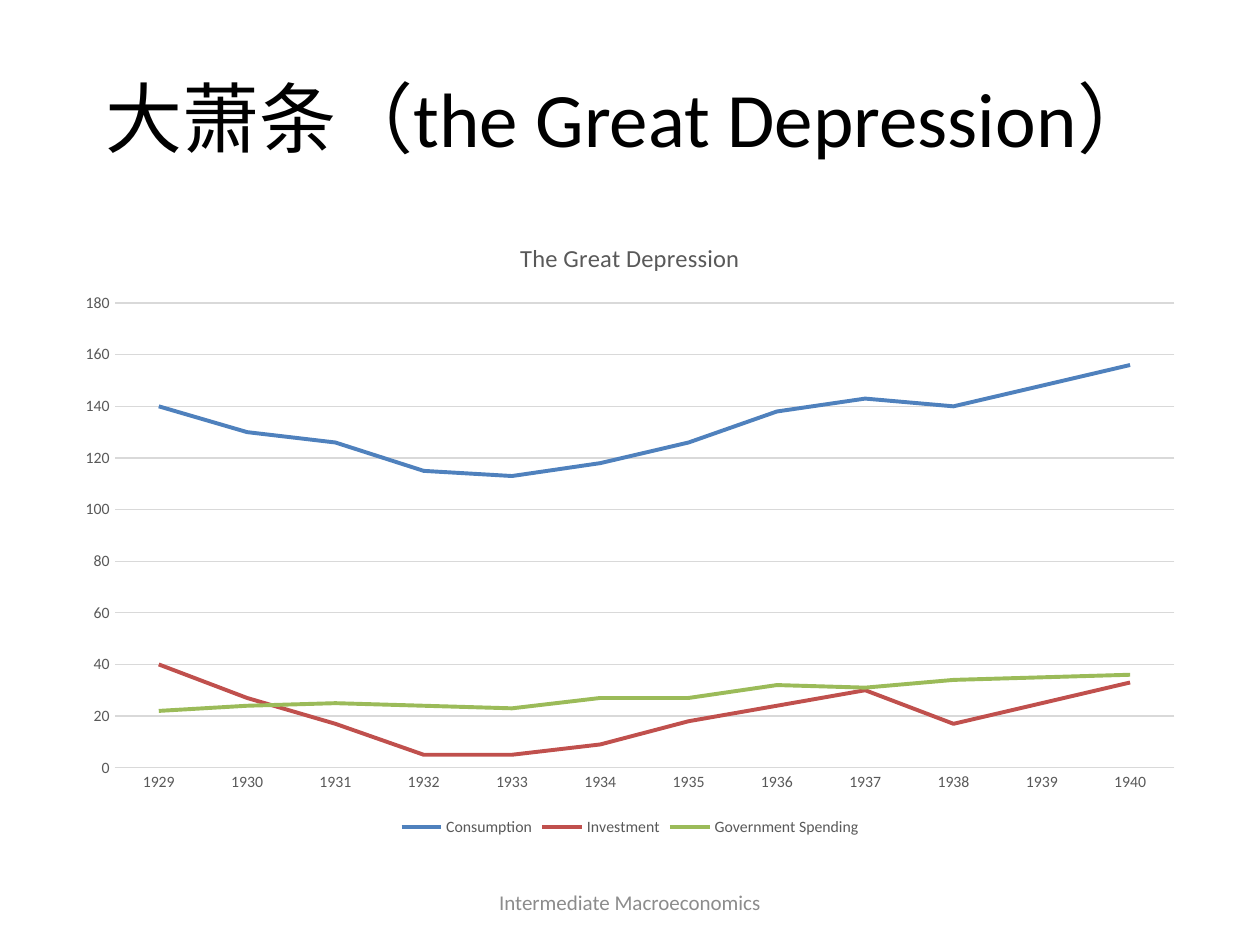
from dataclasses import dataclass

from pptx import Presentation, util as u
from pptx.chart.data import CategoryChartData
from pptx.dml.color import RGBColor
from pptx.enum import chart as ch, text as tx


@dataclass(frozen=True)
class Theme:
    """Colours, typeface and type sizes of the slide."""
    face: str = "Calibri"
    ink: str = "000000"
    label: str = "595959"
    footer: str = "8C8C8C"
    grid: str = "D9D9D9"
    lines: tuple = ("4F81BD", "C0504D", "9BBB59")
    title_size: int = 44
    chart_title_size: int = 14
    footer_size: int = 12
    label_size: int = 9


THEME = Theme()
WIDTH, HEIGHT = u.Inches(10), u.Inches(7.5)
YEARS = [str(year) for year in range(1929, 1941)]
SPENDING = {
    "Consumption": (140, 130, 126, 115, 113, 118, 126, 138, 143, 140, 148, 156),
    "Investment": (40, 27, 17, 5, 5, 9, 18, 24, 30, 17, 25, 33),
    "Government Spending": (22, 24, 25, 24, 23, 27, 27, 32, 31, 34, 35, 36),
}


def share(left, top, width, height):
    """Turn shares of the slide's size into a box of lengths."""
    return (int(left * WIDTH), int(top * HEIGHT),
            int(width * WIDTH), int(height * HEIGHT))


def style_font(font, size, color):
    """Set typeface, size and colour of a font."""
    font.name, font.size, font.bold = THEME.face, u.Pt(size), False
    font.color.rgb = RGBColor.from_string(color)


def style_line(line, color, width):
    """Set colour and width of a line."""
    line.color.rgb = RGBColor.from_string(color)
    line.width = u.Pt(width)


def write(frame, words, *, size, color, align=tx.PP_ALIGN.CENTER):
    """Put one formatted paragraph in a text frame."""
    frame.word_wrap = True
    frame.vertical_anchor = tx.MSO_ANCHOR.MIDDLE
    paragraph = frame.paragraphs[0]
    paragraph.alignment = align
    run = paragraph.add_run()
    run.text = words
    style_font(run.font, size, color)


def add_heading(slide, box):
    """Place the slide title."""
    heading = slide.shapes.title
    heading.left, heading.top, heading.width, heading.height = box
    write(heading.text_frame, "大萧条（the Great Depression）",
          size=THEME.title_size, color=THEME.ink)


def add_spending_chart(slide, box):
    """Place the line chart of spending by year."""
    spending = CategoryChartData()
    spending.categories = YEARS
    for name, amounts in SPENDING.items():
        spending.add_series(name, amounts)
    chart = slide.shapes.add_chart(ch.XL_CHART_TYPE.LINE, *box, spending).chart
    style_font(chart.font, THEME.label_size, THEME.label)

    chart.has_title = True
    write(chart.chart_title.text_frame, "The Great Depression",
          size=THEME.chart_title_size, color=THEME.label)
    chart.chart_title.include_in_layout = False
    chart.has_legend = True
    chart.legend.position = ch.XL_LEGEND_POSITION.BOTTOM
    chart.legend.include_in_layout = False
    style_font(chart.legend.font, THEME.label_size, THEME.label)

    years, amounts = chart.category_axis, chart.value_axis
    for axis in (years, amounts):
        axis.major_tick_mark = axis.minor_tick_mark = ch.XL_TICK_MARK.NONE
        style_font(axis.tick_labels.font, THEME.label_size, THEME.label)
    style_line(years.format.line, THEME.grid, 0.75)
    amounts.format.line.fill.background()
    amounts.minimum_scale, amounts.maximum_scale, amounts.major_unit = 0, 180, 20
    amounts.has_major_gridlines = True
    style_line(amounts.major_gridlines.format.line, THEME.grid, 0.75)

    plot = chart.plots[0]
    plot.vary_by_categories = False
    for series, color in zip(plot.series, THEME.lines):
        series.smooth = False
        series.marker.style = ch.XL_MARKER_STYLE.NONE
        style_line(series.format.line, color, 2.25)


def add_course_name(slide, box):
    """Place the course name at the foot of the slide."""
    course = slide.shapes.add_textbox(*box)
    write(course.text_frame, "Intermediate Macroeconomics",
          size=THEME.footer_size, color=THEME.footer)


def main():
    """Build and save the slide."""
    deck = Presentation()
    deck.slide_width, deck.slide_height = WIDTH, HEIGHT
    slide = deck.slides.add_slide(deck.slide_layouts[5])
    add_heading(slide, share(0.05, 0.04, 0.9, 1 / 6))
    add_course_name(slide, share(0.34, 0.93, 0.32, 0.05))
    add_spending_chart(slide, share(0.05, 0.23, 0.9, 0.66))
    deck.save("out.pptx")


if __name__ == "__main__":
    main()
